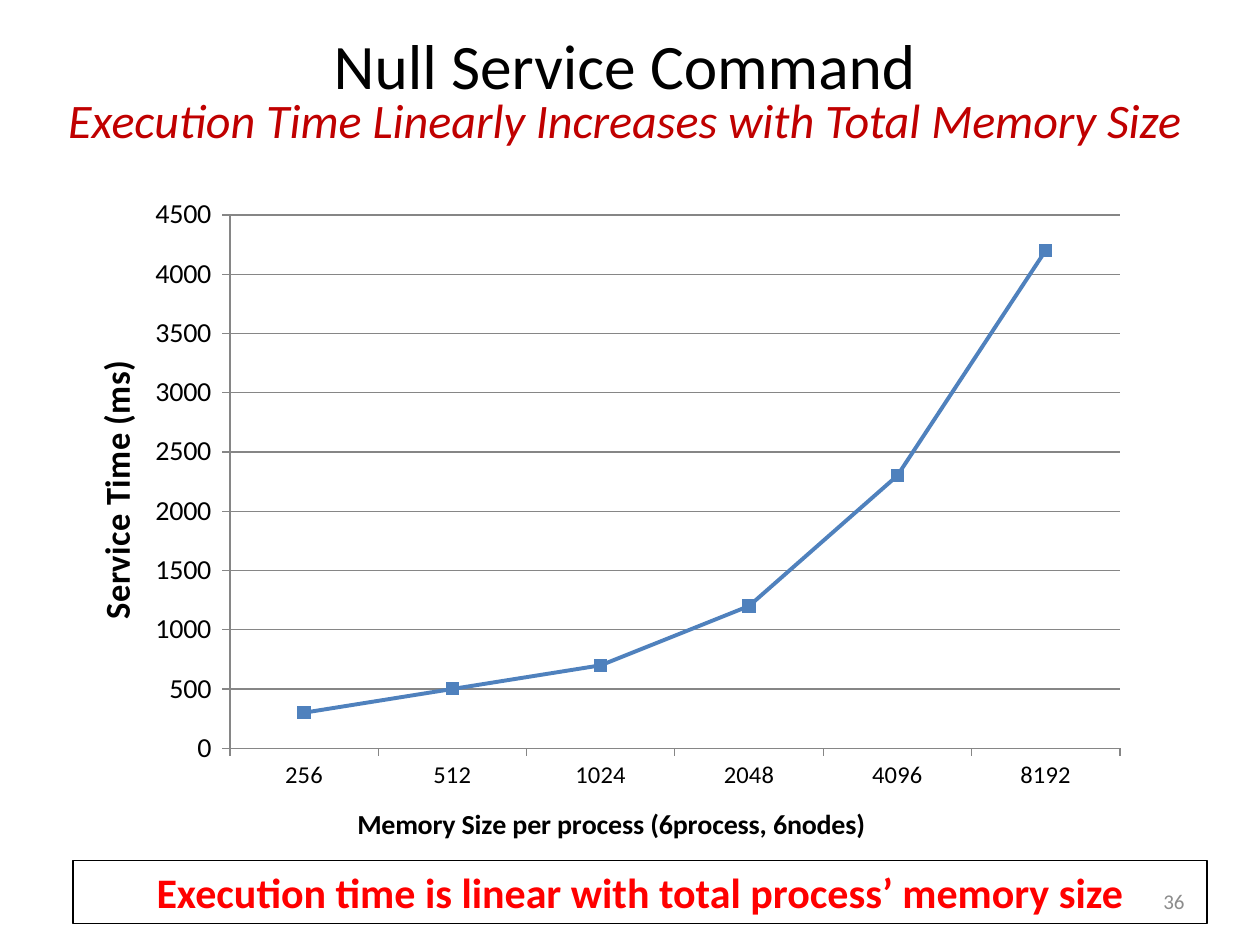
import pptx
import pptx.chart.data
import pptx.dml.color
import pptx.enum.chart
import pptx.enum.shapes
import pptx.enum.text
import pptx.oxml
import pptx.oxml.ns
import pptx.util
from pptx.util import Inches

RGBColor = pptx.dml.color.RGBColor
ALIGN = pptx.enum.text.PP_ALIGN
MIDDLE = pptx.enum.text.MSO_ANCHOR.MIDDLE

FONT = "Calibri"
BLACK = RGBColor(0x00, 0x00, 0x00)
DARK_RED = RGBColor(0xC0, 0x00, 0x00)
RED = RGBColor(0xFF, 0x00, 0x00)
GRAY = RGBColor(0x8C, 0x8C, 0x8C)
AXIS_GRAY = RGBColor(0x86, 0x86, 0x86)
BLUE = RGBColor(0x4F, 0x81, 0xBD)


def style_font(font, size, color, bold=False, italic=False):
    font.name = FONT
    font.size = pptx.util.Pt(size)
    font.color.rgb = color
    font.bold = bold
    font.italic = italic


def add_run(paragraph, text, size, color, **style):
    run = paragraph.add_run()
    run.text = text
    style_font(run.font, size, color, **style)


def add_text_box(slide, box):
    frame = slide.shapes.add_textbox(*box).text_frame
    frame.word_wrap = True
    frame.vertical_anchor = MIDDLE
    return frame


def add_heading(slide, box):
    frame = add_text_box(slide, box)
    title, subtitle = frame.paragraphs[0], frame.add_paragraph()
    for paragraph in (title, subtitle):
        paragraph.alignment = ALIGN.CENTER
        paragraph.line_spacing = 0.8
    add_run(title, "Null Service Command", 36.2, BLACK)
    add_run(subtitle, "Execution Time Linearly Increases with Total Memory Size",
            27.5, DARK_RED, italic=True)


def add_page_number(slide, box):
    paragraph = add_text_box(slide, box).paragraphs[0]
    paragraph.alignment = ALIGN.RIGHT
    add_run(paragraph, "36", 12, GRAY)


def add_conclusion(slide, box):
    shape = slide.shapes.add_shape(pptx.enum.shapes.MSO_SHAPE.RECTANGLE, *box)
    shape.shadow.inherit = False
    shape.fill.background()
    shape.line.color.rgb = BLACK
    shape.line.width = pptx.util.Pt(0.75)
    frame = shape.text_frame
    frame.word_wrap = True
    frame.auto_size = pptx.enum.text.MSO_AUTO_SIZE.SHAPE_TO_FIT_TEXT
    paragraph = frame.paragraphs[0]
    paragraph.alignment = ALIGN.CENTER
    add_run(paragraph, "Execution time is linear with total process’ memory size",
            24, RED, bold=True)


def set_layout(parent, index, **fractions):
    """Place a chart part by fractions of the chart's size."""
    for old in parent.findall(pptx.oxml.ns.qn("c:layout")):
        parent.remove(old)
    target = '<c:layoutTarget val="inner"/>' if "w" in fractions else ""
    modes = "".join(f'<c:{name}Mode val="edge"/>' for name in ("x", "y"))
    values = "".join(f'<c:{name} val="{value}"/>' for name, value in fractions.items())
    parent.insert(index, pptx.oxml.parse_xml(
        f'<c:layout {pptx.oxml.ns.nsdecls("c")}><c:manualLayout>'
        f"{target}{modes}{values}</c:manualLayout></c:layout>"))


def style_axis(axis, title, title_size, tick_size, x, y):
    style_font(axis.tick_labels.font, tick_size, BLACK)
    axis.major_tick_mark = pptx.enum.chart.XL_TICK_MARK.OUTSIDE
    axis.minor_tick_mark = pptx.enum.chart.XL_TICK_MARK.NONE
    axis.format.line.color.rgb = AXIS_GRAY
    axis.format.line.width = pptx.util.Pt(0.75)
    frame = axis.axis_title.text_frame
    add_run(frame.paragraphs[0], title, title_size, BLACK, bold=True)
    set_layout(axis.axis_title._element, 1, x=x, y=y)


def add_service_time_chart(slide, box):
    data = pptx.chart.data.CategoryChartData()
    data.categories = ["256", "512", "1024", "2048", "4096", "8192"]
    data.add_series("Series 1", [300, 500, 700, 1200, 2300, 4200])
    chart = slide.shapes.add_chart(
        pptx.enum.chart.XL_CHART_TYPE.LINE_MARKERS, *box, data).chart
    chart.has_legend = False
    chart.has_title = False
    style_font(chart.font, 10, BLACK)
    set_layout(chart._chartSpace.chart.plotArea, 0, x=0.15, y=0.04, w=0.8, h=0.82)

    style_axis(chart.category_axis, "Memory Size per process (6process, 6nodes)",
               16, 14, x=0.26, y=0.94)
    value_axis = chart.value_axis
    style_axis(value_axis, "Service Time (ms)", 20, 16, x=0.02, y=0.26)
    body = value_axis.axis_title.text_frame._txBody.bodyPr
    body.set("rot", "-5400000")
    body.set("vert", "horz")
    value_axis.minimum_scale = 0
    value_axis.maximum_scale = 4500
    value_axis.major_unit = 500
    value_axis.tick_labels.number_format = "0_ "
    value_axis.tick_labels.number_format_is_linked = False
    value_axis.has_major_gridlines = True
    gridline = value_axis.major_gridlines.format.line
    gridline.color.rgb = AXIS_GRAY
    gridline.width = pptx.util.Pt(0.75)

    plot = chart.plots[0]
    plot.vary_by_categories = False
    series = plot.series[0]
    series.smooth = False
    series.format.line.color.rgb = BLUE
    series.format.line.width = pptx.util.Pt(2.25)
    marker = series.marker
    marker.style = pptx.enum.chart.XL_MARKER_STYLE.SQUARE
    marker.size = 7
    marker.format.fill.solid()
    marker.format.fill.fore_color.rgb = BLUE
    marker.format.line.color.rgb = BLUE


def main():
    presentation = pptx.Presentation()
    presentation.slide_width = Inches(10)
    presentation.slide_height = Inches(7.5)
    slide = presentation.slides.add_slide(presentation.slide_layouts[6])
    add_service_time_chart(slide, (Inches(0.5), Inches(1.5), Inches(8.83), Inches(5.25)))
    add_heading(slide, (Inches(0.25), Inches(0.25), Inches(9.42), Inches(1)))
    add_page_number(slide, (Inches(7.17), Inches(6.95), Inches(2.33), Inches(0.4)))
    add_conclusion(slide, (Inches(0.58), Inches(6.83), Inches(9), Inches(0.5)))
    presentation.save("out.pptx")


if __name__ == "__main__":
    main()
